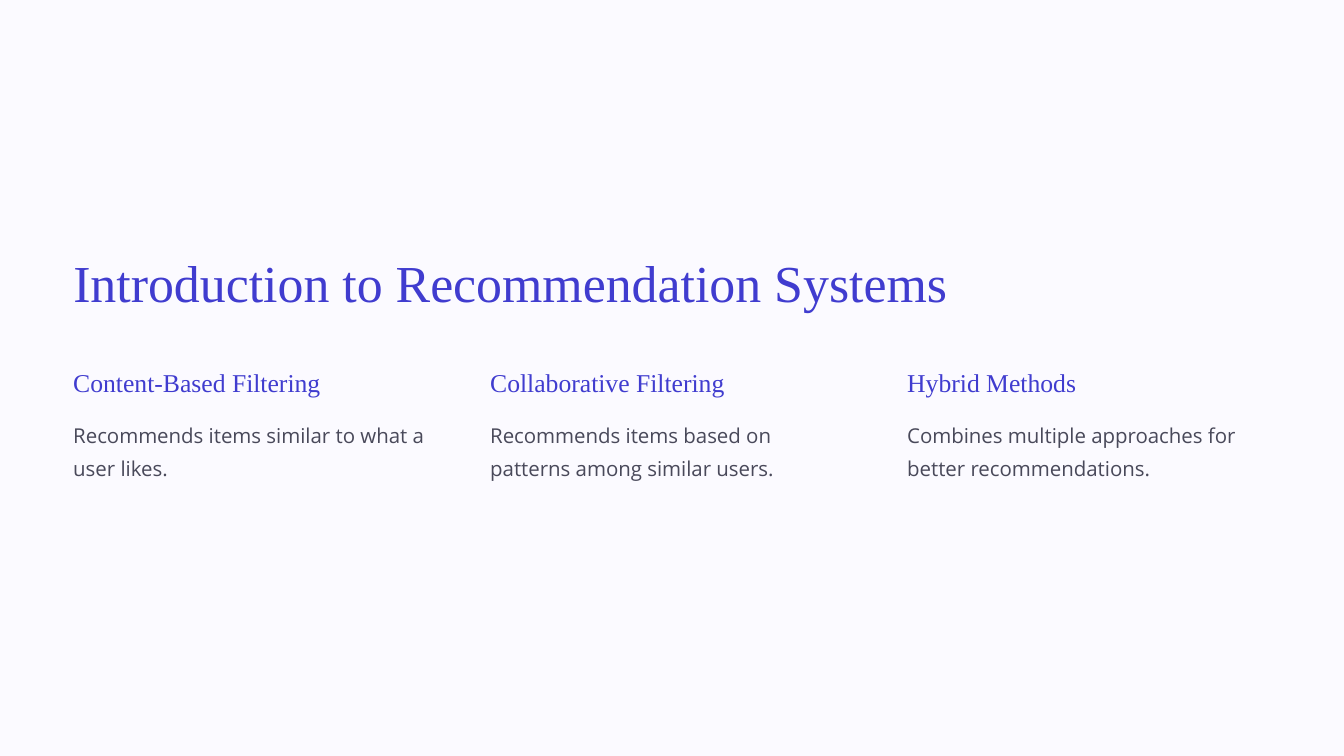
from dataclasses import dataclass

from pptx import Presentation
from pptx import util as u
from pptx.dml import color
from pptx.enum import shapes, text


@dataclass(frozen=True)
class Theme:
    base: str = "F4F0FF"
    overlay: str = "FBFAFF"
    accent: str = "403CCF"
    body: str = "49495A"
    heading_font: str = "Times New Roman"
    body_font: str = "Open Sans"
    title_size: float = 55.6
    heading_size: float = 27.5
    body_size: float = 21.87


theme = Theme()


def write_text(shape, wording, font_name, size, line_height, ink):
    frame = shape.text_frame
    frame.text = wording
    frame.word_wrap = True
    frame.auto_size = text.MSO_AUTO_SIZE.NONE
    frame.vertical_anchor = text.MSO_ANCHOR.TOP
    frame.margin_left = frame.margin_top = frame.margin_right = frame.margin_bottom = 0
    paragraph = frame.paragraphs[0]
    paragraph.alignment = text.PP_ALIGN.LEFT
    paragraph.space_before = u.Pt(0)
    paragraph.line_spacing = u.Pt(line_height)
    font = paragraph.runs[0].font
    font.name = font_name
    font.size = u.Pt(size)
    font.color.rgb = color.RGBColor.from_string(ink)


presentation = Presentation()
presentation.slide_width = u.Inches(20)
presentation.slide_height = u.Inches(11.25)
slide = presentation.slides.add_slide(presentation.slide_layouts[5])
title = slide.shapes.title

# Two full-slide panels, placed behind the title
for fill_color in (theme.base, theme.overlay):
    panel = slide.shapes.add_shape(
        shapes.MSO_SHAPE.RECTANGLE, 0, 0,
        presentation.slide_width, presentation.slide_height)
    panel.shadow.inherit = False
    panel.fill.solid()
    panel.fill.fore_color.rgb = color.RGBColor.from_string(fill_color)
    panel.line.fill.background()
    title.element.addprevious(panel.element)

# Title
left_margin = 1.09
title.left, title.top = u.Inches(left_margin), u.Inches(3.69)
title.width, title.height = u.Inches(16.95), u.Inches(1)
write_text(title, "Introduction to Recommendation Systems",
           theme.heading_font, theme.title_size, 69.4, theme.accent)

# Three columns, each a heading above a description
last_column_left = 13.5
column_step = (last_column_left - left_margin) / 2
methods = [
    ("Content-Based Filtering", 4.77,
     "Recommends items similar to what a user likes."),
    ("Collaborative Filtering", 4.48,
     "Recommends items based on patterns among similar users."),
    ("Hybrid Methods", 3.88,
     "Combines multiple approaches for better recommendations."),
]
for index, (heading, heading_width, description) in enumerate(methods):
    left = u.Inches(left_margin + index * column_step)
    heading_box = slide.shapes.add_textbox(
        left, u.Inches(5.44), u.Inches(heading_width), u.Inches(0.51))
    write_text(heading_box, heading,
               theme.heading_font, theme.heading_size, 34.4, theme.accent)
    description_box = slide.shapes.add_textbox(
        left, u.Inches(6.16), u.Inches(5.44), u.Inches(1.09))
    write_text(description_box, description,
               theme.body_font, theme.body_size, 35.6, theme.body)

presentation.save("out.pptx")
